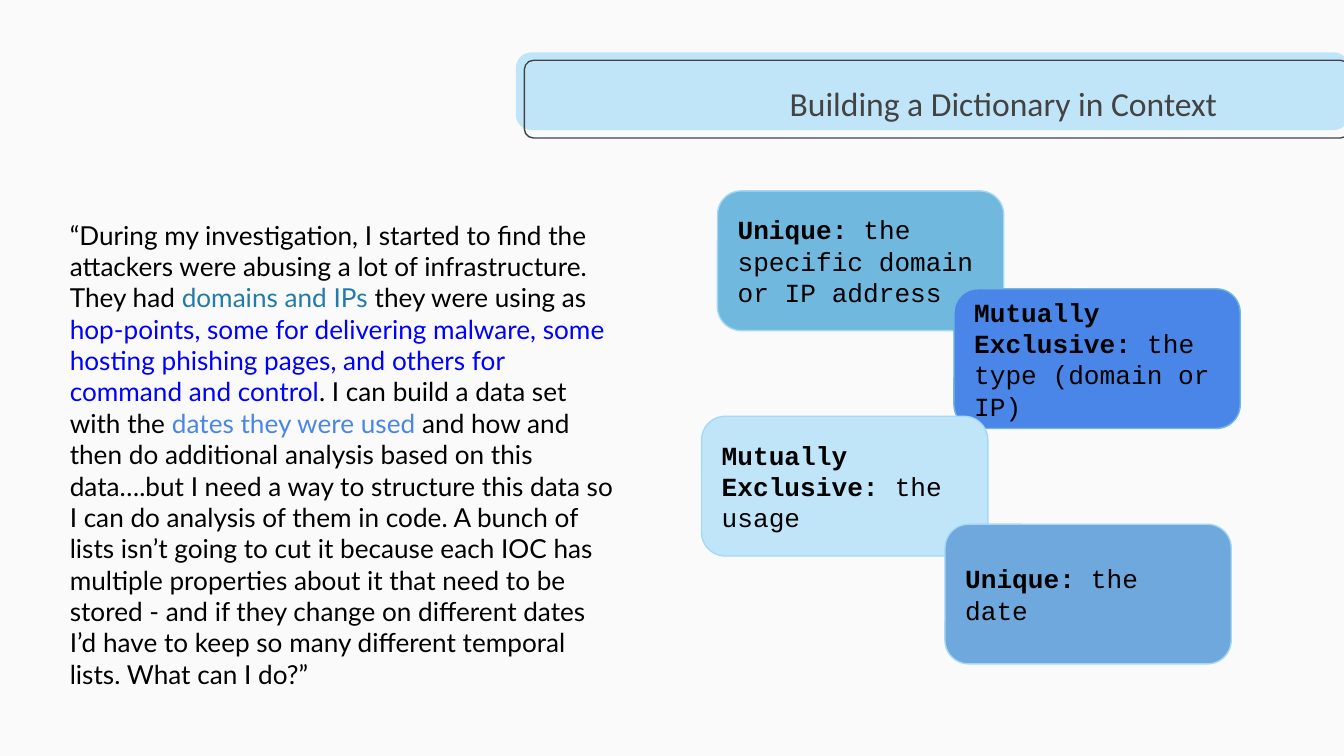
from dataclasses import dataclass

from pptx import Presentation
from pptx.dml.color import RGBColor
from pptx.enum.shapes import MSO_SHAPE
from pptx.enum.text import MSO_ANCHOR, MSO_AUTO_SIZE, PP_ALIGN
from pptx.util import Cm, Pt

ROUND = MSO_SHAPE.ROUNDED_RECTANGLE
TOP, MIDDLE = MSO_ANCHOR.TOP, MSO_ANCHOR.MIDDLE
LEFT, RIGHT = PP_ALIGN.LEFT, PP_ALIGN.RIGHT
GROW = MSO_AUTO_SIZE.SHAPE_TO_FIT_TEXT


@dataclass(frozen=True)
class Theme:
    paper: str = "FAFAFA"
    ink: str = "000000"
    gray: str = "434343"
    pale: str = "C1E5F8"
    rim: str = "A4D8F4"
    sky: str = "71B8DF"
    steel: str = "6FA8DC"
    azure: str = "4A86E8"
    teal: str = "217BAC"
    blue: str = "0000FF"
    head: int = 18
    text: int = 14
    line: float = 0.75


THEME = Theme()
CARD = (5.41, 2.64)
CARDS = [
    (13.56, 3.61, THEME.sky, THEME.rim, "Unique: ", "the specific domain or IP address"),
    (18.03, 5.46, THEME.azure, THEME.sky, "Mutually Exclusive: ", "the type (domain or IP)"),
    (13.26, 7.87, THEME.pale, THEME.rim, "Mutually Exclusive: ", "the usage"),
    (17.86, 9.91, THEME.steel, THEME.rim, "Unique: ", "the date"),
]
STORY = [
    ("“During my investigation, I started to find the attackers were abusing "
     "a lot of infrastructure. They had ", THEME.ink),
    ("domains and IPs", THEME.teal),
    (" they were using as ", THEME.ink),
    ("hop-points, some for delivering malware, some hosting phishing pages, "
     "and others for command and control", THEME.blue),
    (". I can build a data set with the ", THEME.ink),
    ("dates they were used", THEME.azure),
    (" and how and then do additional analysis based on this data….but I need "
     "a way to structure this data so I can do analysis of them in code. "
     "A bunch of lists isn’t going to cut it because each IOC has multiple "
     "properties about it that need to be stored - and if they change on "
     "different dates I’d have to keep so many different temporal lists. "
     "What can I do?”", THEME.ink),
]


def color(code):
    return RGBColor.from_string(code)


def assign(item, **values):
    for name, value in values.items():
        setattr(item, name, value)


def write(shape, runs, anchor=TOP, align=LEFT):
    frame = shape.text_frame
    pad = Cm(0.25)
    assign(frame, word_wrap=True, vertical_anchor=anchor, margin_left=pad,
           margin_right=pad, margin_top=pad, margin_bottom=pad)
    para = frame.paragraphs[0]
    para.alignment = align
    for text, tint, style in runs:
        run = para.add_run()
        run.text = text
        assign(run.font, **style)
        run.font.color.rgb = color(tint)


def add_text(slide, box, runs, **place):
    shape = slide.shapes.add_textbox(*map(Cm, box))
    write(shape, runs, **place)
    return shape


def add_panel(slide, box, curve, fill=None, line=None):
    shape = slide.shapes.add_shape(ROUND, *map(Cm, box))
    shape.shadow.inherit = False
    shape.adjustments[0] = curve
    if fill:
        shape.fill.solid()
        shape.fill.fore_color.rgb = color(fill)
    else:
        shape.fill.background()
    if line:
        shape.line.color.rgb = color(line)
        shape.line.width = Pt(THEME.line)
    else:
        shape.line.fill.background()
    return shape


def add_card(slide, left, top, fill, line, label, text):
    shape = add_panel(slide, (left, top, *CARD), 0.17, fill, line)
    style = {"name": "Courier New", "size": Pt(THEME.text)}
    write(shape, [(label, THEME.ink, {**style, "bold": True}),
                  (text, THEME.ink, {**style, "bold": False})], anchor=MIDDLE)


def add_title(slide):
    add_panel(slide, (9.75, 0.99, 15.75, 1.47), 0.2, fill=THEME.pale)
    add_panel(slide, (9.91, 1.14, 15.6, 1.47), 0.12, line=THEME.gray)
    style = {"name": "Calibri", "size": Pt(THEME.head)}
    add_text(slide, (14.4, 1.27, 8.86, 1.35),
             [("Building a Dictionary in Context", THEME.gray, style)],
             anchor=MIDDLE, align=RIGHT)


def add_story(slide):
    style = {"name": "Lato", "size": Pt(THEME.text)}
    shape = add_text(slide, (1.07, 3.89, 10.85, 8.89),
                     [(text, tint, style) for text, tint in STORY])
    shape.text_frame.auto_size = GROW


def main():
    deck = Presentation()
    assign(deck, slide_width=Cm(25.4), slide_height=Cm(14.29))
    slide = deck.slides.add_slide(deck.slide_layouts[6])
    back = slide.background.fill
    back.solid()
    back.fore_color.rgb = color(THEME.paper)
    add_title(slide)
    add_story(slide)
    for card in CARDS:
        add_card(slide, *card)
    deck.save("out.pptx")


if __name__ == "__main__":
    main()
